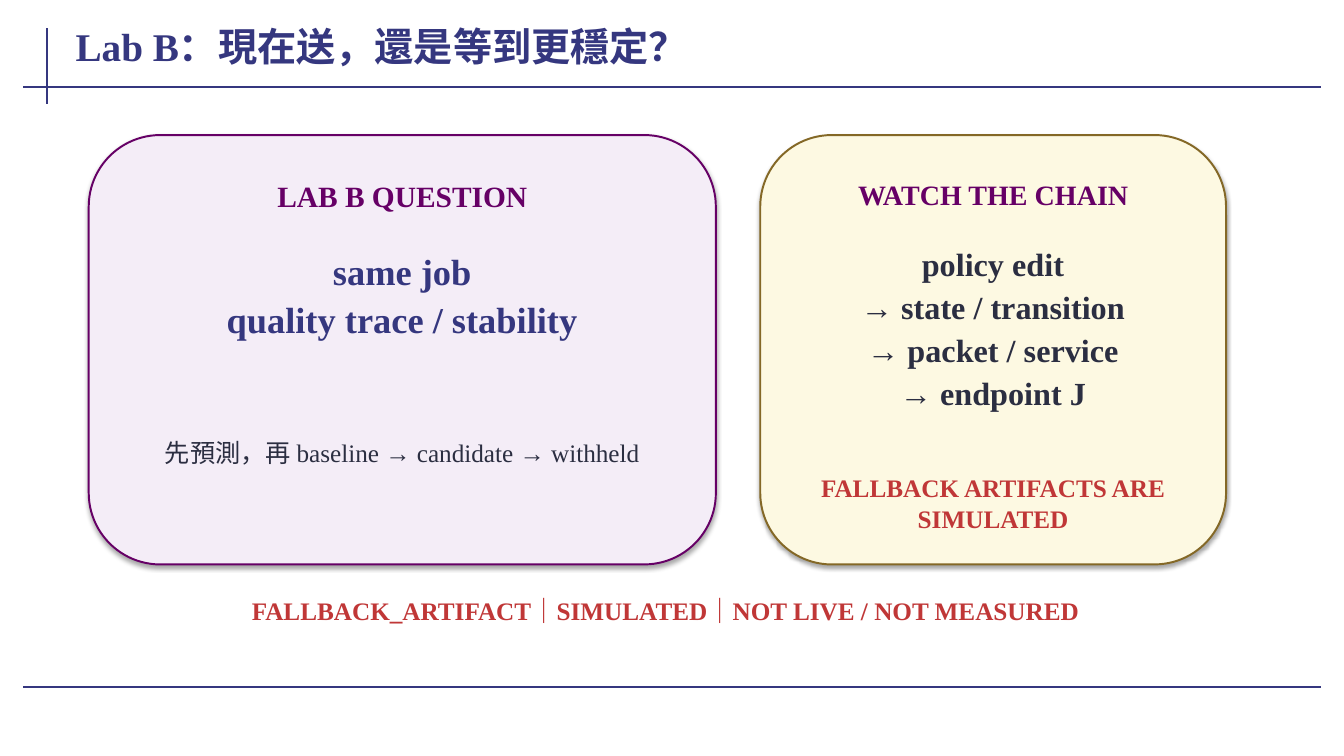
"""Build the Lab B question slide."""
from dataclasses import dataclass

from lxml.etree import SubElement
from pptx import Presentation
from pptx.dml.color import RGBColor
from pptx.enum.shapes import MSO_CONNECTOR, MSO_SHAPE
from pptx.enum.text import MSO_ANCHOR, MSO_AUTO_SIZE, PP_ALIGN
from pptx.oxml.ns import qn
from pptx.util import Inches, Pt


@dataclass(frozen=True)
class Theme:
    font: str = "Times New Roman"
    navy: str = "35377F"
    purple: str = "660066"
    lilac: str = "F4EDF7"
    cream: str = "FDF9E2"
    gold: str = "846826"
    ink: str = "2B2E41"
    red: str = "C03737"
    title: int = 28
    question: int = 26
    chain: int = 23
    heading: int = 21
    subheading: int = 20
    note: int = 18
    rule: float = 1.5
    outline: float = 1.4


def write(tf, text, *, font, size, color, bold=True, align=PP_ALIGN.CENTER, spacing=1.04):
    tf.word_wrap = True
    tf.vertical_anchor = MSO_ANCHOR.TOP
    tf.margin_left = tf.margin_right = Inches(0.08)
    tf.margin_top, tf.margin_bottom = Inches(0.03), Inches(0.02)
    for i, line in enumerate(text.split("\n")):
        p = tf.paragraphs[0] if i == 0 else tf.add_paragraph()
        p.alignment = align
        p.line_spacing = spacing
        p.space_before, p.space_after = Pt(0), Pt(2)
        r = p.add_run()
        r.text = line
        r.font.name, r.font.size, r.font.bold = font, Pt(size), bold
        r.font.color.rgb = RGBColor.from_string(color)


class SlideBuilder:
    def __init__(self, slide, theme):
        self.s, self.theme = slide, theme

    def title(self, text, *box):
        sp = self.s.shapes.title
        sp.left, sp.top, sp.width, sp.height = map(Inches, box)
        write(sp.text_frame, text, font=self.theme.font, size=self.theme.title,
              color=self.theme.navy, align=PP_ALIGN.LEFT, spacing=1.0)
        sp.text_frame.auto_size = MSO_AUTO_SIZE.NONE

    def rule(self, *ends):
        line = self.s.shapes.add_connector(MSO_CONNECTOR.STRAIGHT, *map(Inches, ends))
        line.line.color.rgb = RGBColor.from_string(self.theme.navy)
        line.line.width = Pt(self.theme.rule)
        SubElement(line._element.spPr, qn("a:effectLst"))

    def card(self, box, fill, line):
        sp = self.s.shapes.add_shape(MSO_SHAPE.ROUNDED_RECTANGLE, *map(Inches, box))
        sp.fill.solid()
        sp.fill.fore_color.rgb = RGBColor.from_string(fill)
        sp.line.color.rgb = RGBColor.from_string(line)
        sp.line.width = Pt(self.theme.outline)
        sp.shadow.inherit = False
        effects = sp._element.spPr.find(qn("a:effectLst"))
        shadow = SubElement(effects, qn("a:outerShdw"), blurRad=str(Pt(3.1)),
                            dist=str(Pt(1.8)), dir="5400000", rotWithShape="0")
        color = SubElement(shadow, qn("a:srgbClr"), val="000000")
        SubElement(color, qn("a:alpha"), val="35000")

    def text(self, text, box, size, color, **fmt):
        sp = self.s.shapes.add_textbox(*map(Inches, box))
        write(sp.text_frame, text, font=self.theme.font, size=size, color=color, **fmt)
        sp.text_frame.auto_size = MSO_AUTO_SIZE.SHAPE_TO_FIT_TEXT


def main():
    prs = Presentation()
    prs.slide_width, prs.slide_height = Inches(13.33), Inches(7.5)
    t = Theme()
    b = SlideBuilder(prs.slides.add_slide(prs.slide_layouts[5]), t)

    b.rule(0.47, 0.28, 0.47, 1.03)
    for y in (0.86, 6.82):
        b.rule(0.23, y, 13.1, y)
    b.title("Lab B：現在送，還是等到更穩定？", 0.67, 0.19, 12, 0.63)

    b.card((0.88, 1.34, 6.22, 4.26), t.lilac, t.purple)
    b.text("LAB B QUESTION", (1.2, 1.72, 5.58, 0.34), t.heading, t.purple)
    b.text("same job\nquality trace / stability", (1.18, 2.42, 5.62, 1.3),
           t.question, t.navy)
    b.text("先預測，再 baseline → candidate → withheld", (1.24, 4.3, 5.5, 0.66),
           t.note, t.ink, bold=False)

    b.card((7.54, 1.34, 4.62, 4.26), t.cream, t.gold)
    b.text("WATCH THE CHAIN", (7.84, 1.72, 4.02, 0.34), t.subheading, t.purple)
    b.text("policy edit\n→ state / transition\n→ packet / service\n→ endpoint J",
           (7.88, 2.38, 3.94, 1.62), t.chain, t.ink)
    b.text("FALLBACK ARTIFACTS ARE SIMULATED", (7.9, 4.64, 3.9, 0.42), t.note, t.red)

    b.text("FALLBACK_ARTIFACT｜SIMULATED｜NOT LIVE / NOT MEASURED",
           (0.92, 5.86, 11.36, 0.3), t.note, t.red)
    prs.save("out.pptx")


if __name__ == "__main__":
    main()
